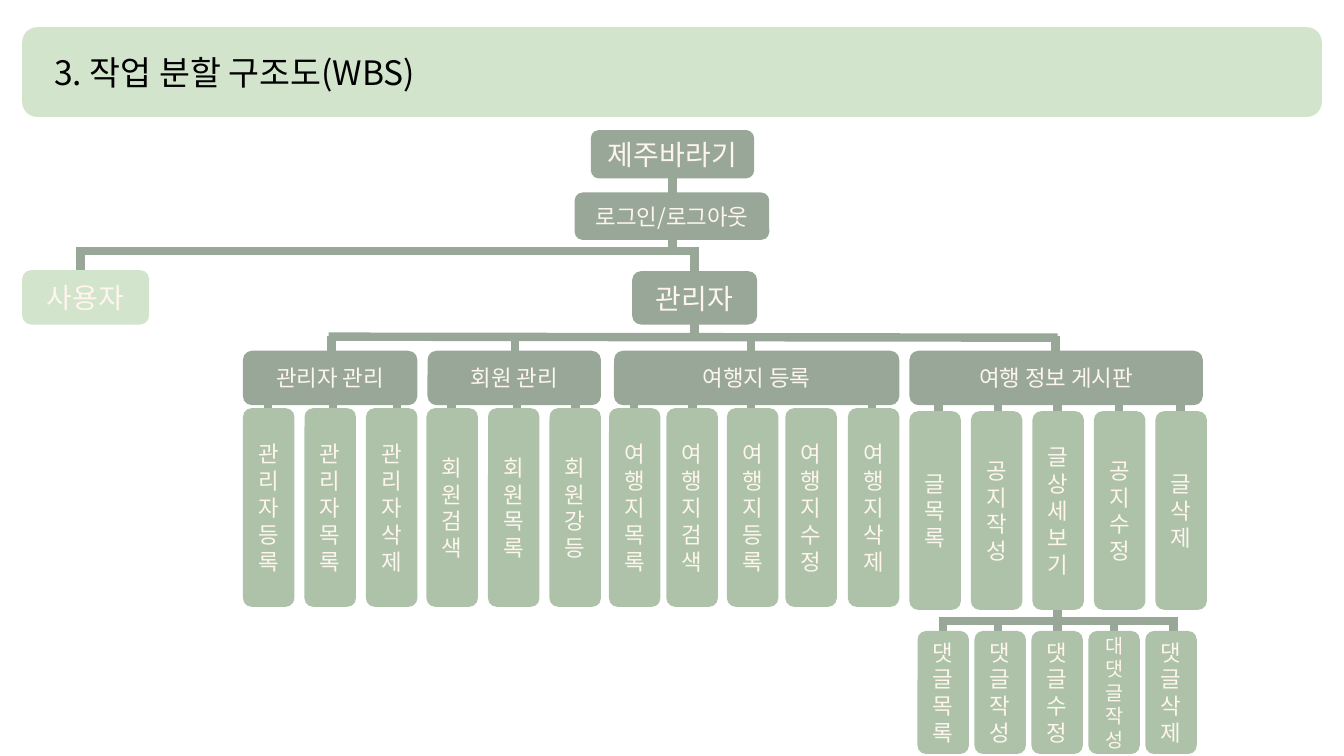
from dataclasses import dataclass

from lxml.etree import SubElement
from pptx import Presentation
from pptx.dml.color import RGBColor
from pptx.enum.shapes import MSO_CONNECTOR as Conn, MSO_SHAPE as Shp
from pptx.enum.text import MSO_ANCHOR as Anchor, MSO_AUTO_SIZE as Auto, PP_ALIGN as Align
from pptx.oxml.ns import qn
from pptx.util import Inches, Pt

COLORS = {
    "header": "D3E4CD", "dark": "99A799", "leaf": "ADC2A9",
    "cream": "FEF5ED", "black": "000000",
}
FONT = "Noto Sans CJK KR"
BOX_TEXT = {"word_wrap": True, "vertical_anchor": Anchor.MIDDLE}
TITLE_TEXT = {"word_wrap": False, "auto_size": Auto.SHAPE_TO_FIT_TEXT}


@dataclass(frozen=True)
class Box:
    text: str
    left: float
    top: float
    width: float
    height: float
    fill: str = "dark"
    size: int = 16


@dataclass(frozen=True)
class Line:
    x1: float
    y1: float
    x2: float
    y2: float


@dataclass(frozen=True)
class Branch:
    title: str
    left: float
    width: float
    leaf_top: float
    leaves: dict[str, float]  # leaf text and its left edge
    stems: list[float]


def spread(texts: list[str], left: float, pitch: float) -> dict[str, float]:
    return {text: left + i * pitch for i, text in enumerate(texts)}


def write(tf, text: str, size: int, color: str, layout: dict, align=None) -> None:
    for name, value in layout.items():
        setattr(tf, name, value)
    p = tf.paragraphs[0]
    p.alignment = align
    r = p.add_run()
    r.text = text
    for name, value in {"size": Pt(size), "name": FONT}.items():
        setattr(r.font, name, value)
    r.font.color.rgb = RGBColor.from_string(COLORS[color])
    SubElement(r.font._element, qn("a:ea"), typeface=FONT)


def draw_box(box: Box) -> None:
    edges = map(Inches, (box.left, box.top, box.width, box.height))
    sp = shapes.add_shape(Shp.ROUNDED_RECTANGLE, *edges)
    sp.shadow.inherit = False
    sp.fill.solid()
    sp.fill.fore_color.rgb = RGBColor.from_string(COLORS[box.fill])
    sp.line.fill.background()
    if box.text:
        write(sp.text_frame, box.text, box.size, "cream", BOX_TEXT, Align.CENTER)


def draw_line(line: Line) -> None:
    ends = map(Inches, (line.x1, line.y1, line.x2, line.y2))
    cxn = shapes.add_connector(Conn.STRAIGHT, *ends)
    cxn.line.width = Pt(6)
    cxn.line.color.rgb = RGBColor.from_string(COLORS["dark"])
    SubElement(cxn._element.spPr, qn("a:effectLst"))


prs = Presentation()
prs.slide_width, prs.slide_height = Inches(13.33), Inches(7.5)
shapes = prs.slides.add_slide(prs.slide_layouts[6]).shapes

# Title band
draw_box(Box("", 0.22, 0.27, 12.89, 0.89, "header"))
title = shapes.add_textbox(Inches(0.44), Inches(0.47), Inches(4.05), Inches(0.5))
write(title.text_frame, "3. 작업 분할 구조도(WBS)", 24, "black", TITLE_TEXT)

# Work packages
branches = [
    Branch("관리자 관리", 2.41, 1.73, 4.05,
           spread(["관리자등록", "관리자 목록", "관리자삭제"], 2.41, 0.61),
           [2.66, 3.3, 3.94]),
    Branch("회원 관리", 4.24, 1.72, 4.05,
           spread(["회원검색", "회원목록", "회원강등"], 4.23, 0.61),
           [4.48, 5.13, 5.71]),
    Branch("여행지 등록", 6.09, 2.83, 4.05,
           {"여행지목록": 6.04, "여행지검색": 6.61, "여행지등록": 7.21,
            "여행지수정": 7.79, "여행지삭제": 8.41},
           [6.29, 6.87, 7.45, 8.65]),
    Branch("여행 정보 게시판", 9.02, 2.91, 4.08,
           spread(["글목록", "공지작성", "글상세보기", "공지수정", "글삭제"], 9.02, 0.61),
           [9.31, 9.9, 10.49, 11.1, 11.71]),
]
replies = spread(["댓글목록", "댓글 작성", "댓글 수정", "대댓글작성", "댓글삭제"], 9.1, 0.565)

# Connecting lines, behind the boxes
lines = [
    Line(6.67, 1.36, 6.67, 2.49),
    Line(6.89, 2.49, 0.81, 2.49),
    Line(0.8, 2.45, 0.8, 3.19),
    Line(6.89, 2.45, 6.89, 3.34),
    Line(10.49, 3.35, 3.26, 3.34),
    Line(10.49, 3.81, 10.49, 6.7),
    Line(11.64, 6.16, 9.34, 6.16),
]
lines += [Line(x, 3.33, x, 3.79) for x in (3.29, 5.11, 7.45, 10.47)]
lines += [Line(x, 3.75, x, 4.75) for b in branches for x in b.stems]
lines += [Line(x, 6.12, x, 6.9) for x in (9.35, 9.9, 10.49, 11.05, 11.64)]
for line in lines:
    draw_line(line)

# Upper levels
boxes = [
    Box("제주바라기", 5.86, 1.29, 1.62, 0.48, size=20),
    Box("로그인/로그아웃", 5.7, 1.91, 1.93, 0.47),
    Box("사용자", 0.22, 2.68, 1.26, 0.54, "header", 20),
    Box("관리자", 6.27, 2.69, 1.24, 0.53, size=20),
]

# Branches, their leaves and the reply functions
for b in branches:
    boxes.append(Box(b.title, b.left, 3.48, b.width, 0.54))
    boxes += [Box(text, left, b.leaf_top, 0.51, 1.97, "leaf")
              for text, left in b.leaves.items()]
boxes += [Box(text, left, 6.26, 0.51, 1.22, "leaf", 14 if len(text.replace(" ", "")) > 4 else 16)
          for text, left in replies.items()]
for box in boxes:
    draw_box(box)

prs.save("out.pptx")
